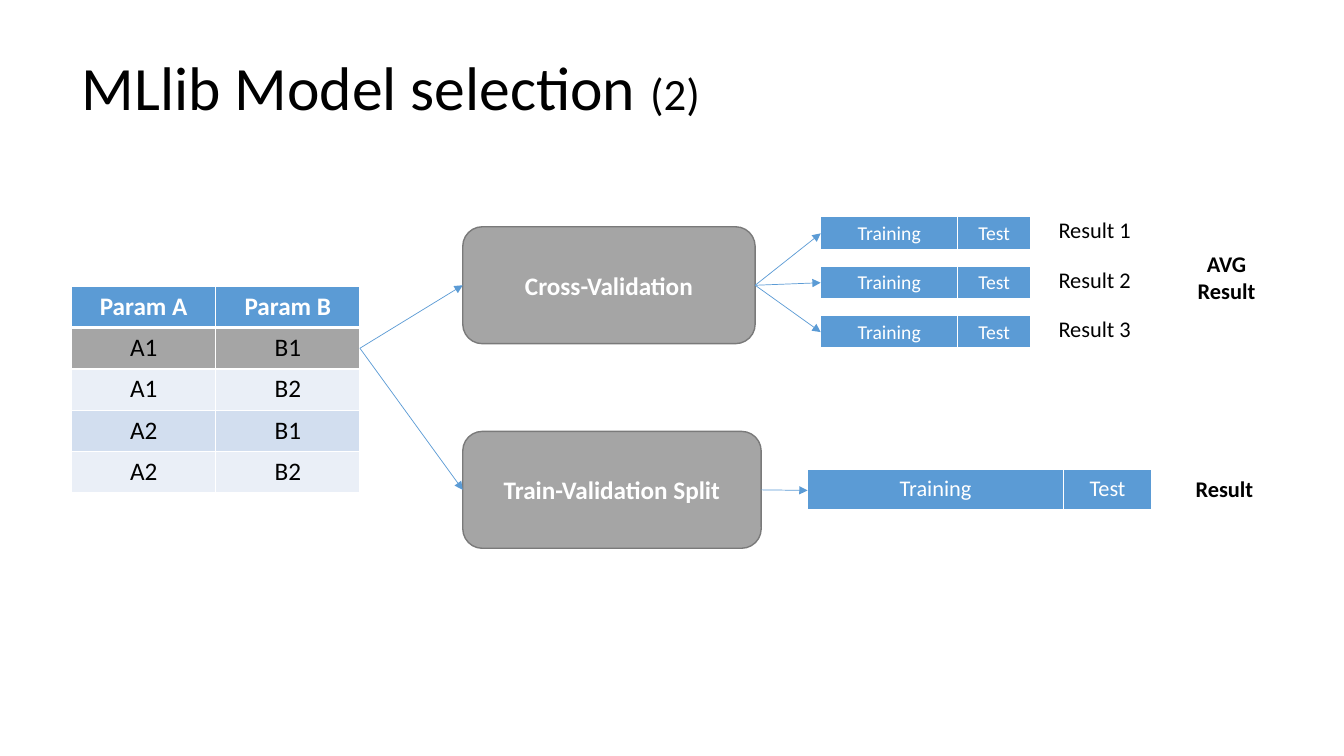
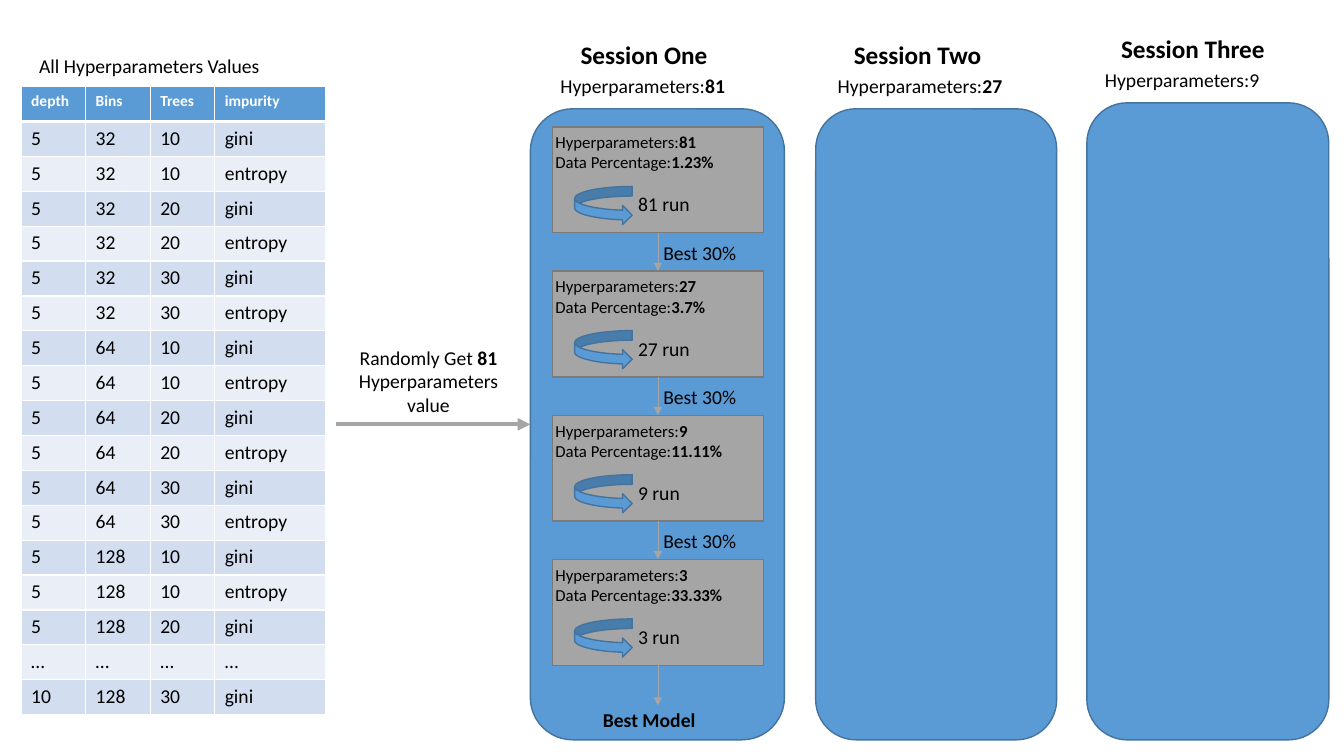
import itertools

import pptx
import pptx.chart.data
import pptx.dml.color
import pptx.enum.shapes
import pptx.enum.text
import pptx.oxml
import pptx.oxml.ns
import pptx.util

Inches = pptx.util.Inches
SHAPES = pptx.enum.shapes.MSO_SHAPE
ALIGN = pptx.enum.text.PP_ALIGN
ANCHOR = pptx.enum.text.MSO_ANCHOR
FONT = "Calibri"
COLORS = {
    "black": "000000",
    "white": "FFFFFF",
    "blue": "5B9BD5",
    "blue_edge": "43739E",
    "gray": "A5A5A5",
    "gray_edge": "7A7A7A",
    "band_dark": "D2DEEF",
    "band_light": "EAEFF7",
}
BOLD = {"bold": True}


def rgb(name):
    return pptx.dml.color.RGBColor.from_string(COLORS[name])


def write_text(frame, lines, size=14, color="black", bold=False, align=ALIGN.LEFT, spacing=None):
    for index, line in enumerate(lines):
        para = frame.paragraphs[0] if index == 0 else frame.add_paragraph()
        para.alignment = align
        if spacing:
            para.line_spacing = spacing
        for part in [line] if isinstance(line, str) else line:
            text, changes = (part, {}) if isinstance(part, str) else part
            span = para.add_run()
            span.text = text
            span.font.name = FONT
            span.font.size = pptx.util.Pt(changes.get("size", size))
            span.font.bold = changes.get("bold", bold)
            span.font.color.rgb = rgb(color)


def add_text(page, left, top, width, height, lines, anchor=ANCHOR.TOP, **style):
    box = page.shapes.add_textbox(Inches(left), Inches(top), Inches(width), Inches(height))
    box.text_frame.word_wrap = True
    box.text_frame.vertical_anchor = anchor
    write_text(box.text_frame, lines, **style)


def add_box(page, kind, left, top, width, height, color):
    box = page.shapes.add_shape(kind, Inches(left), Inches(top), Inches(width), Inches(height))
    box.shadow.inherit = False
    box.fill.solid()
    box.fill.fore_color.rgb = rgb(color)
    box.line.color.rgb = rgb(color + "_edge")
    box.line.width = pptx.util.Pt(1)
    return box


def add_arrow(page, start, end, color="blue", width=0.5, source=None, target=None):
    points = [Inches(value) for value in (*start, *end)]
    arrow = page.shapes.add_connector(pptx.enum.shapes.MSO_CONNECTOR.STRAIGHT, *points)
    if source:
        arrow.begin_connect(*source)
    if target:
        arrow.end_connect(*target)
    arrow.line.color.rgb = rgb(color)
    arrow.line.width = pptx.util.Pt(width)
    namespace = pptx.oxml.ns.nsdecls("a")
    line = arrow.line._get_or_add_ln()
    line.append(pptx.oxml.parse_xml(f'<a:tailEnd {namespace} type="triangle"/>'))
    line.getparent().append(pptx.oxml.parse_xml(f"<a:effectLst {namespace}/>"))


def set_borders(cell, row):
    thick, thin = 3, 1
    widths = {
        "lnL": thin,
        "lnR": thin,
        "lnT": thick if row == 1 else thin,
        "lnB": thick if row == 0 else thin,
    }
    properties = cell._tc.get_or_add_tcPr()
    for tag, width in widths.items():
        properties.append(pptx.oxml.parse_xml(
            f'<a:{tag} {pptx.oxml.ns.nsdecls("a")} w="{pptx.util.Pt(width)}">'
            f'<a:solidFill><a:srgbClr val="{COLORS["white"]}"/></a:solidFill></a:{tag}>'
        ))


def add_grid(page, left, top, columns, height, rows, size, header_size,
             header_bold=True, align=ALIGN.LEFT, highlight=None):
    frame = page.shapes.add_table(
        len(rows), len(columns), Inches(left), Inches(top), Inches(sum(columns)), Inches(height)
    )
    table = frame.table
    for column, width in zip(table.columns, columns):
        column.width = Inches(width)
    for row, values in enumerate(rows):
        table.rows[row].height = Inches(height / len(rows))
        header = row == 0
        band = "band_dark" if row % 2 else "band_light"
        fill = "blue" if header else "gray" if row == highlight else band
        for column, value in enumerate(values):
            cell = table.cell(row, column)
            set_borders(cell, row)
            cell.fill.solid()
            cell.fill.fore_color.rgb = rgb(fill)
            write_text(
                cell.text_frame, [str(value)], align=align,
                size=header_size if header else size,
                color="white" if header else "black",
                bold=header and header_bold,
            )


def add_title(page, text, number):
    add_text(page, 0.71, 0.5, 10.29, 0.8, [[text, (number, {"size": 32})]],
             anchor=ANCHOR.MIDDLE, size=44, spacing=0.9)


def add_method(page, left, top, width, name, origin):
    box = add_box(page, SHAPES.ROUNDED_RECTANGLE, left, top, width, 1.16, "gray")
    box.text_frame.vertical_anchor = ANCHOR.MIDDLE
    write_text(box.text_frame, [name], size=18, color="white", bold=True, align=ALIGN.CENTER)
    add_arrow(page, origin, (left, top + 0.58), target=(box, 1))
    return box


def add_split(page, left, top, columns, height, size, method):
    add_grid(page, left, top, columns, height, [("Training", "Test")], size, size,
             header_bold=False, align=ALIGN.CENTER)
    middle = top + height / 2
    add_arrow(page, (left, middle), (left, middle), source=(method, 3))


def build_model_selection(page):
    add_title(page, "MLlib Model selection ", "(2)")
    left, top, row_height = 0.71, 2.84, 0.41
    columns = [1.43, 1.43]
    rows = [("Param A", "Param B"), *itertools.product(("A1", "A2"), ("B1", "B2"))]
    add_grid(page, left, top, columns, row_height * len(rows), rows, 18, 18,
             align=ALIGN.CENTER, highlight=1)
    origin = (left + sum(columns), top + 1.5 * row_height)
    cross = add_method(page, 4.59, 2.25, 2.9, "Cross-Validation", origin)
    split = add_method(page, 4.59, 4.28, 2.96, "Train-Validation Split", origin)
    for fold in range(3):
        fold_top = 2.15 + 0.49 * fold
        add_split(page, 8.14, fold_top, [1.36, 0.72], 0.33, 14, cross)
        add_text(page, 10.4, fold_top - 0.05, 1.02, 0.37, [f"Result {fold + 1}"], size=16)
    add_split(page, 8.01, 4.66, [2.54, 0.87], 0.41, 16, split)
    add_text(page, 11.75, 2.43, 0.83, 0.64, ["AVG", "Result"],
             size=16, bold=True, align=ALIGN.CENTER)
    add_text(page, 11.76, 4.66, 0.83, 0.37, ["Result"], size=16, bold=True)


def add_session(page, left, top, width, height, name, count, name_inset, count_inset):
    panel = add_box(page, SHAPES.ROUNDED_RECTANGLE, left, top, width, height, "blue")
    add_text(page, left + name_inset, top - 0.74, 1.82, 0.4, [name], size=18, bold=True)
    add_text(page, left + count_inset, top - 0.4, 2.14, 0.34, [["Hyperparameters:", count]])
    return panel


def add_stage(page, left, top, count, share):
    width, height = 2.09, 1.05
    stage = add_box(page, SHAPES.RECTANGLE, left, top, width, height, "gray")
    add_text(page, left - 0.07, top, 2.2, 0.5, [
        ["Hyperparameters:", (str(count), BOLD)],
        ["Data Percentage:", (share, BOLD)],
    ], size=12)
    add_box(page, SHAPES.CURVED_RIGHT_ARROW, left + 0.22, top + 0.59, 0.57, 0.38, "blue")
    add_text(page, left + 0.75, top + 0.6, 0.77, 0.34, [f"{count} run"])
    return stage


def add_stages(page, left, top):
    pitch, center = 1.43, left + 1.045
    stages = [(81, "1.23%"), (27, "3.7%"), (9, "11.11%"), (3, "33.33%")]
    previous = None
    for index, (count, share) in enumerate(stages):
        stage_top = top + pitch * index
        stage = add_stage(page, left, stage_top, count, share)
        if previous:
            add_arrow(page, (center, stage_top), (center, stage_top), color="gray",
                      source=(previous, 2), target=(stage, 0))
            add_text(page, left + 1, stage_top - 0.35, 1.01, 0.34, ["Best 30%"])
        previous = stage
    add_arrow(page, (center, 7), (center, 7), color="gray", source=(previous, 2))
    add_text(page, left + 0.4, 6.97, 1.25, 0.34, ["Best Model"], bold=True)


def add_hyperparameters(page, left, top):
    add_text(page, left + 0.08, top - 0.37, 2.83, 0.34, ["All Hyperparameters Values"])
    values = itertools.product([5], [32, 64, 128], [10, 20, 30], ["gini", "entropy"])
    rows = [
        ("depth", "Bins", "Trees", "impurity"),
        *itertools.islice(values, 15),
        ("…",) * 4,
        (10, 128, 30, "gini"),
    ]
    add_grid(page, left, top, [0.64, 0.64, 0.64, 1.1], 6.23, rows, 14, 11)


def build_sessions(page):
    add_hyperparameters(page, 0.21, 0.86)
    first = add_session(page, 5.26, 1.08, 2.52, 6.26, "Session One", ("81", BOLD), 0.4, 0.2)
    add_session(page, 8.09, 1.08, 2.39, 6.26, "Session Two", ("27", BOLD), 0.28, 0.12)
    add_session(page, 10.78, 1.02, 2.4, 6.32, "Session Three", "9", 0.24, 0.08)
    add_text(page, 3.29, 3.38, 1.92, 0.81,
             [["Randomly Get ", ("81", BOLD)], "Hyperparameters", "value"], align=ALIGN.CENTER)
    add_arrow(page, (3.33, 4.21), (5.26, 4.21), color="gray", width=3, target=(first, 1))
    add_stages(page, 5.48, 1.26)


def main():
    deck = pptx.Presentation()
    deck.slide_width = Inches(13.33)
    deck.slide_height = Inches(7.5)
    for build in (build_model_selection, build_sessions):
        build(deck.slides.add_slide(deck.slide_layouts[6]))
    deck.save("out.pptx")


if __name__ == "__main__":
    main()
